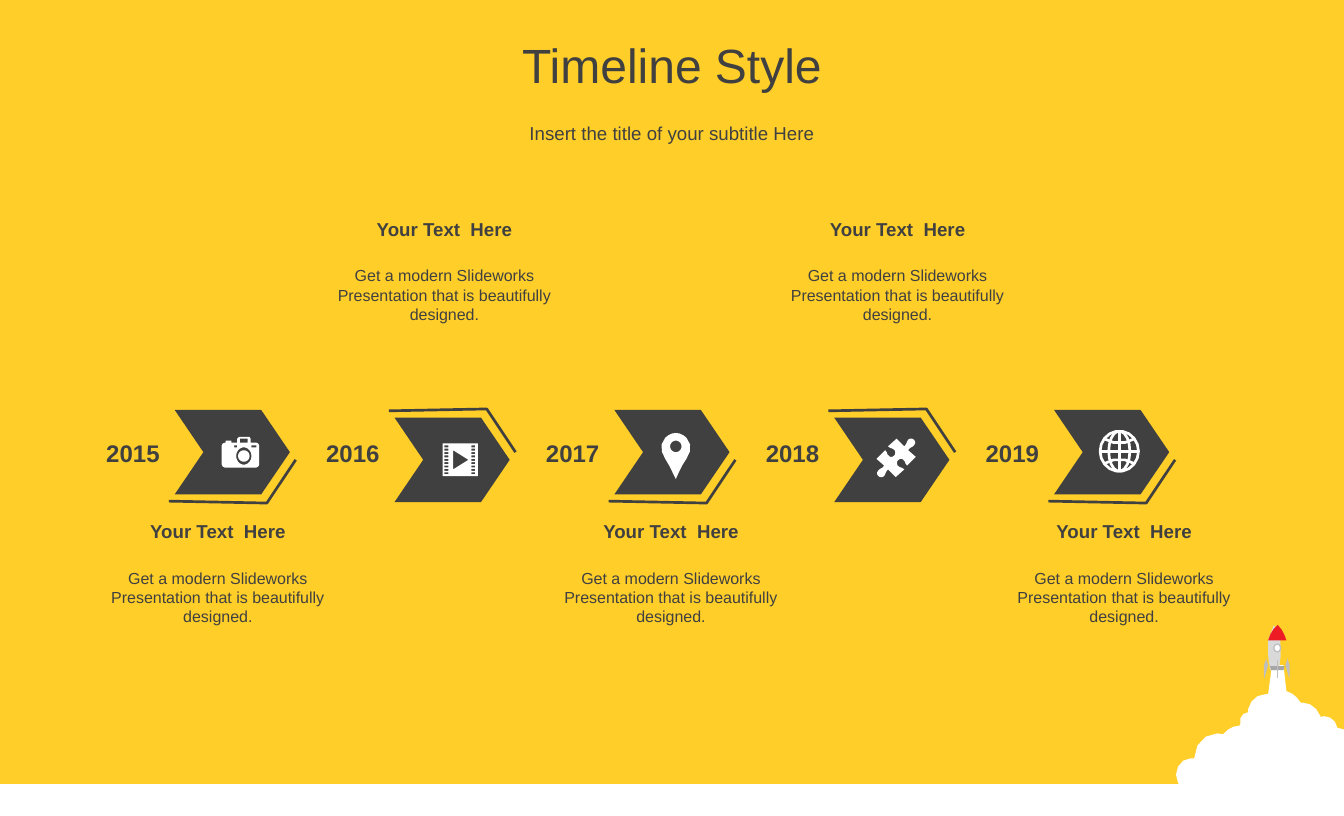
import math
import pptx
import pptx.util
import pptx.enum.shapes
import pptx.enum.text
from pptx.dml.color import RGBColor

INK = {"back": "FFCE29", "dark": "404040", "white": "FFFFFF", "hull": "D9D9D9",
       "band": "A6A6A6", "nose": "ED1C24", "fin": "BFBFBF"}
INK = {name: RGBColor.from_string(code) for name, code in INK.items()}
inch = pptx.util.Inches
kind = pptx.enum.shapes.MSO_SHAPE
mid = pptx.enum.text.MSO_ANCHOR.MIDDLE
top = pptx.enum.text.MSO_ANCHOR.TOP
WIDE, HIGH = 14, 8.5

deck = pptx.Presentation()
deck.slide_width, deck.slide_height = inch(WIDE), inch(HIGH)
slide = deck.slides.add_slide(deck.slide_layouts[5])
slide.background.fill.solid()
slide.background.fill.fore_color.rgb = INK["back"]
shapes = slide.shapes


def draw(paths, fill=None, line=None):
    """A path is a list of points (x, y) and curves (six numbers), or an oval (x, y, rx, ry)."""
    pen = None
    for path in paths:
        if isinstance(path, tuple):
            x, y, rx, ry = path
            turns = [math.tau * n / 18 for n in range(19)]
            dots = [(x + rx * math.cos(t), y + ry * math.sin(t)) for t in turns]
        else:
            dots = []
            for step in path:
                if len(step) == 2:
                    dots.append(step)
                    continue
                ends = [dots[-1], step[:2], step[2:4], step[4:]]
                for t in (1 / 3, 2 / 3, 1):
                    parts = ((1 - t) ** 3, 3 * t * (1 - t) ** 2, 3 * t * t * (1 - t), t ** 3)
                    dots.append(tuple(sum(w * e[a] for w, e in zip(parts, ends)) for a in (0, 1)))
        dots = [(inch(x), inch(y)) for x, y in dots]
        if pen is None:
            pen = shapes.build_freeform(*dots[0])
        else:
            pen.move_to(*dots[0])
        pen.add_line_segments(dots[1:], close=fill is not None)
    shape = pen.convert_to_shape()
    shape.shadow.inherit = False
    if fill:
        shape.fill.solid()
        shape.fill.fore_color.rgb = INK[fill]
        shape.line.fill.background()
    else:
        shape.fill.background()
        shape.line.color.rgb = INK[line]
        shape.line.width = pptx.util.Pt(2)


def write(box, place, text, size, bold=False, anchor=mid):
    box.left, box.top, box.width, box.height = map(inch, place)
    frame = box.text_frame
    frame.word_wrap = True
    frame.auto_size = pptx.enum.text.MSO_AUTO_SIZE.NONE
    frame.vertical_anchor = anchor
    para = frame.paragraphs[0]
    para.alignment = pptx.enum.text.PP_ALIGN.CENTER
    run = para.add_run()
    run.text = text
    run.font.name, run.font.size, run.font.bold = "Arial", pptx.util.Pt(size), bold
    run.font.color.rgb = INK["dark"]


# Ground and cloud
ground = 8.17
draw([[(0, ground), (WIDE, ground), (WIDE, HIGH), (0, HIGH)]], "white")
draw([[(13.25, 6.93), (13.37, 6.93), (13.4, 7.2),
       (13.47, 7.22, 13.51, 7.26, 13.55, 7.32), (13.57, 7.32),
       (13.65, 7.32, 13.72, 7.37, 13.76, 7.47), (13.79, 7.46),
       (13.86, 7.46, 13.92, 7.51, 13.93, 7.58), (14, 7.6), (14, 8.45),
       (13.08, 8.47), (12.4, 8.24),
       (12.32, 8.24, 12.25, 8.16, 12.25, 8.07), (12.25, 7.98, 12.32, 7.9, 12.4, 7.9),
       (12.44, 7.9), (12.44, 7.75, 12.55, 7.64, 12.68, 7.64), (12.74, 7.65),
       (12.79, 7.59, 12.85, 7.56, 12.91, 7.56), (12.92, 7.54),
       (12.9, 7.48, 12.95, 7.42, 13, 7.42), (13, 7.39),
       (13.02, 7.3, 13.09, 7.23, 13.19, 7.23), (13.21, 7.23)]], "white")

# Rocket
draw([[(13.23, 6.98), (13.21, 6.84, 13.17, 6.65, 13.27, 6.51),
       (13.38, 6.66, 13.34, 6.86, 13.32, 6.98)]], "hull")
draw([[(13.23, 6.94), (13.38, 6.94), (13.37, 6.98), (13.24, 6.98)]], "band")
draw([[(13.31, 6.51), (13.36, 6.56, 13.38, 6.61, 13.4, 6.67), (13.21, 6.67),
       (13.23, 6.6, 13.26, 6.55, 13.31, 6.51)]], "nose")
port = shapes.add_shape(kind.OVAL, inch(13.27), inch(6.71), inch(0.07), inch(0.08))
port.shadow.inherit = False
port.fill.solid()
port.fill.fore_color.rgb = INK["white"]
port.line.color.rgb = INK["fin"]
port.line.width = pptx.util.Pt(1)
draw([[(13.3, 6.87), (13.31, 6.87), (13.31, 7.06), (13.3, 7.06)]], "fin")
for side in (-1, 1):
    x = 13.3
    draw([[(x + side * 0.11, 6.86), (x + side * 0.09, 6.93), (x + side * 0.13, 7.07),
           (x + side * 0.13, 7.03, x + side * 0.15, 6.91, x + side * 0.11, 6.86)]], "fin")

# Title and subtitle
write(shapes.title, (0, 0.2, WIDE, 0.95), "Timeline Style", 36)
write(shapes.add_textbox(0, 0, 0, 0), (0, 1.15, WIDE, 0.47),
      "Insert the title of your subtitle Here", 14)

# Timeline: arrows, years and captions, turned over at every second step
for step in range(5):
    x = 1.76 + 2.29 * step
    odd = step % 2
    arrow = shapes.add_shape(kind.CHEVRON, inch(x + 0.06), inch(4.35 if odd else 4.27),
                             inch(1.2), inch(0.88))
    arrow.adjustments[0] = 0.34
    arrow.shadow.inherit = False
    arrow.fill.solid()
    arrow.fill.fore_color.rgb = INK["dark"]
    arrow.line.fill.background()
    trim = [(x + 1.32, 4.79), (x + 1.02, 5.24), (x, 5.22)]
    draw([[(a, 9.5 - b if odd else b) for a, b in trim]], line="dark")
    write(shapes.add_textbox(0, 0, 0, 0), (x - 1, 4.52, 1.25, 0.4), str(2015 + step), 18, True)

    left, head = 0.88 + 2.36 * step, 2.22 if odd else 5.37
    write(shapes.add_textbox(0, 0, 0, 0), (left, head + 0.5, 2.78, 0.7),
          "Get a modern Slideworks Presentation that is beautifully designed.", 12, anchor=top)
    write(shapes.add_textbox(0, 0, 0, 0), (left, head, 2.78, 0.33),
          "Your Text  Here", 14, True, top)

# Camera icon
draw([[(2.49, 4.55), (2.6, 4.55), (2.61, 4.57), (2.61, 4.61), (2.67, 4.61), (2.69, 4.62),
       (2.7, 4.64), (2.7, 4.84), (2.69, 4.86), (2.67, 4.87), (2.34, 4.87), (2.32, 4.86),
       (2.31, 4.84), (2.31, 4.64), (2.32, 4.62), (2.35, 4.61), (2.35, 4.59),
       (2.41, 4.59), (2.41, 4.61), (2.47, 4.61), (2.47, 4.57)],
      (2.54, 4.75, 0.08, 0.09), (2.54, 4.75, 0.06, 0.06),
      [(2.44, 4.64), (2.47, 4.64), (2.47, 4.66), (2.44, 4.66)],
      [(2.62, 4.64), (2.67, 4.64), (2.67, 4.66), (2.62, 4.66)],
      [(2.5, 4.57), (2.58, 4.57), (2.58, 4.61), (2.5, 4.61)]], "white")

# Film icon
film = [[(4.61, 4.62), (4.98, 4.62), (4.98, 4.96), (4.61, 4.96)],
        [(4.72, 4.69), (4.88, 4.79), (4.72, 4.89)]]
for x in (4.63, 4.91):
    for row in range(9):
        y = 4.64 + 0.28 * row / 8
        film.append([(x, y), (x + 0.04, y), (x + 0.04, y + 0.02), (x, y + 0.02)])
draw(film, "white")

# Map pin icon
draw([[(7.04, 4.51), (7.08, 4.51, 7.12, 4.53, 7.15, 4.56), (7.21, 4.62, 7.2, 4.71, 7.15, 4.78),
       (7.1, 4.85, 7.08, 4.9, 7.04, 4.99), (6.99, 4.89, 6.98, 4.86, 6.93, 4.78),
       (6.88, 4.71, 6.87, 4.62, 6.93, 4.56), (6.96, 4.53, 7, 4.51, 7.04, 4.51)],
      (7.04, 4.65, 0.06, 0.06)], "white")

# Puzzle icon: one half, then the same half turned about the centre
half = [(9.52, 4.58), (9.54, 4.6, 9.54, 4.62, 9.52, 4.64), (9.5, 4.67, 9.48, 4.65, 9.46, 4.69),
        (9.54, 4.76), (9.45, 4.85), (9.42, 4.83, 9.44, 4.81, 9.41, 4.79),
        (9.4, 4.77, 9.37, 4.78, 9.36, 4.79), (9.34, 4.8, 9.34, 4.83, 9.35, 4.85),
        (9.38, 4.88, 9.39, 4.86, 9.42, 4.89), (9.33, 4.97), (9.25, 4.89),
        (9.22, 4.92, 9.23, 4.93, 9.21, 4.96), (9.19, 4.98, 9.16, 4.97, 9.15, 4.96)]
spin = [tuple((9.54 if n % 2 else 18.67) - v for n, v in enumerate(p)) for p in half]
draw([half + spin], "white")

# Globe icon: rim, meridians and parallels
x, y = 11.66, 4.7
globe = [(x, y, 0.2, 0.21), (x, y, 0.11, 0.21),
         [(x, y - 0.21), (x, y + 0.21)], [(x - 0.2, y), (x + 0.2, y)]]
for side in (-1, 1):
    low, far = y + side * 0.07, y + side * 0.13
    globe.append([(x - 0.16, far), (x - 0.08, low, x + 0.08, low, x + 0.16, far)])
draw(globe, line="white")

deck.save("out.pptx")
